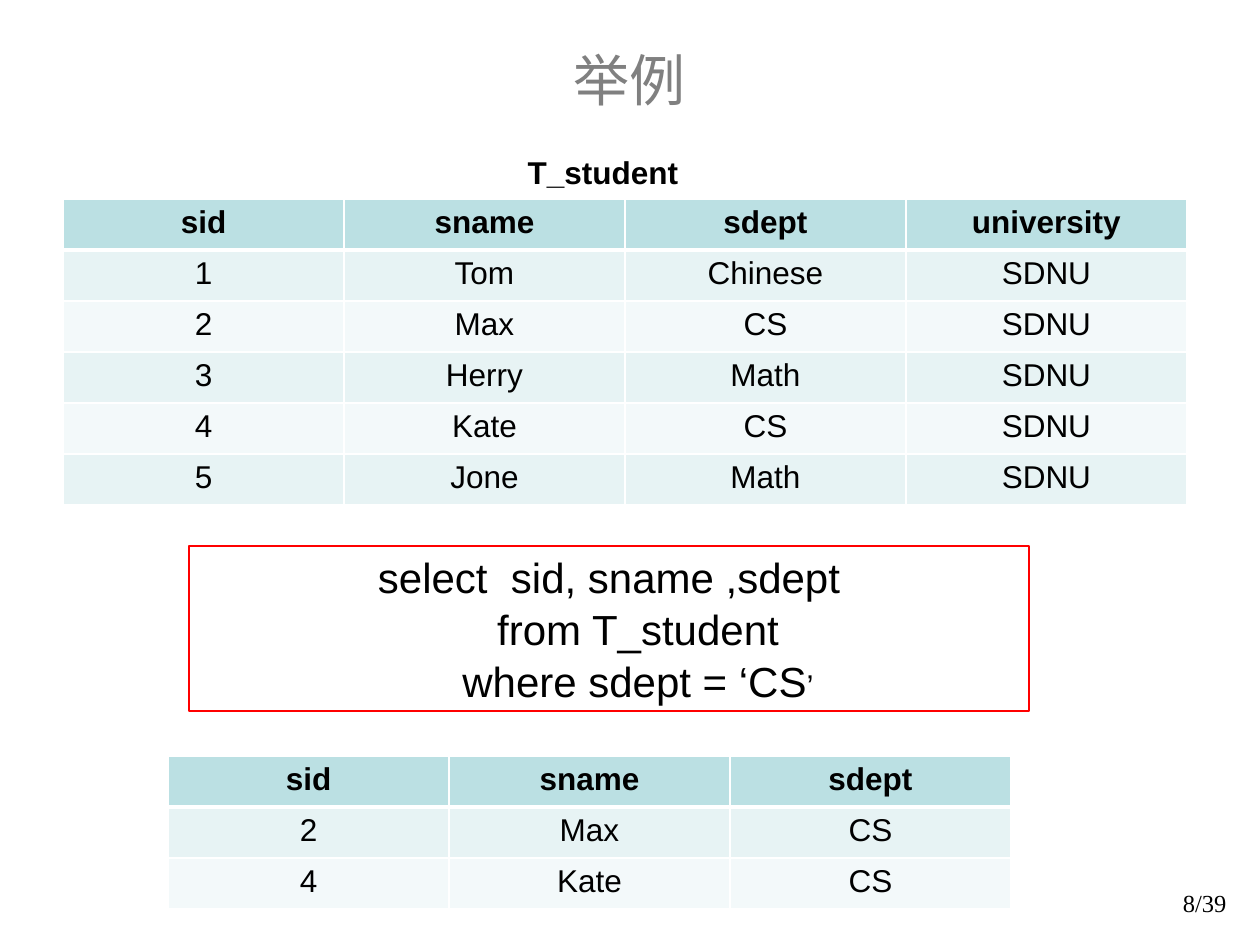
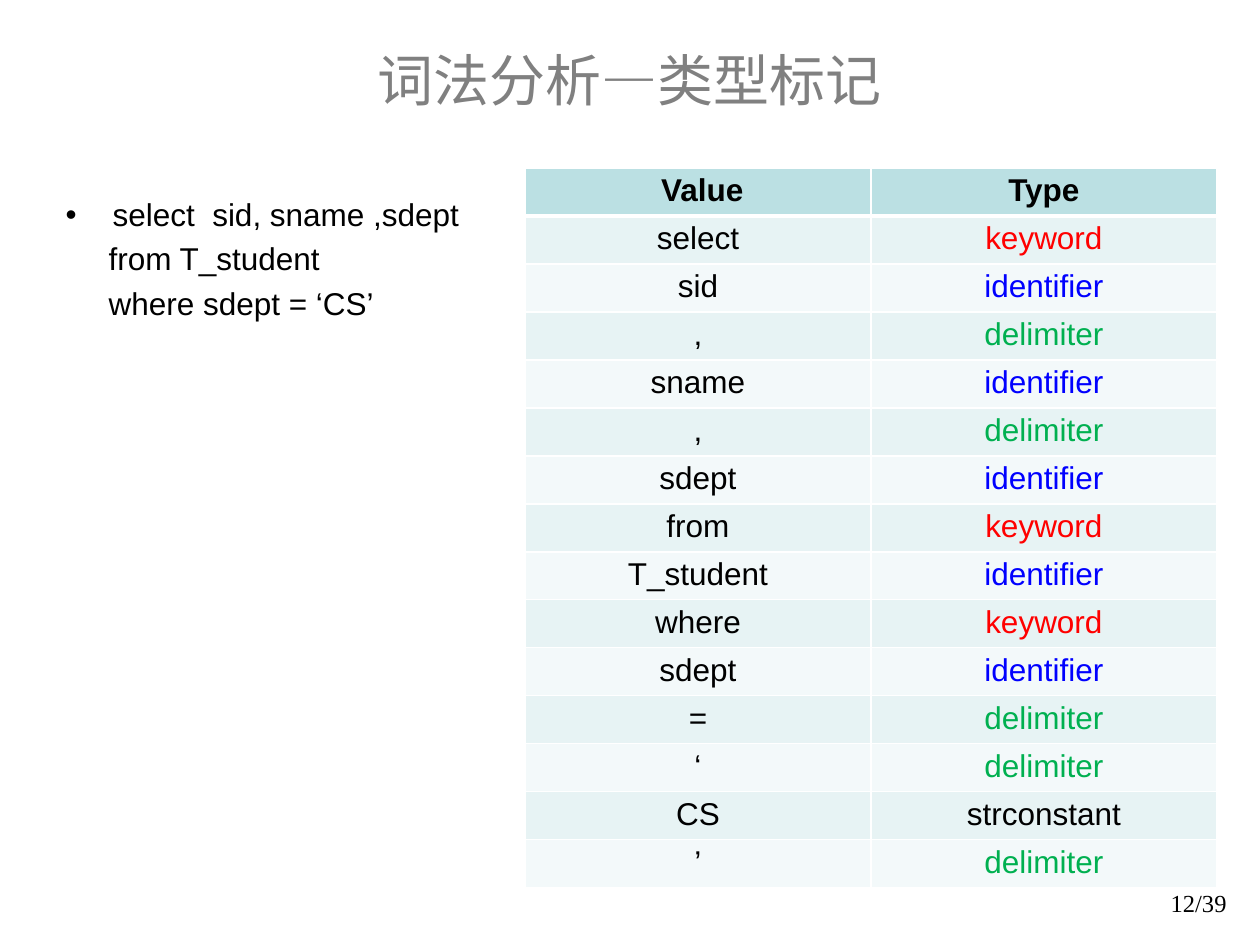
from pptx import Presentation
from pptx import util as u
from pptx.dml.color import RGBColor
from pptx.enum import shapes, text
from pptx.oxml import parse_xml
from pptx.oxml.ns import nsdecls

BLACK = RGBColor(0x00, 0x00, 0x00)
GREY = RGBColor(0x80, 0x80, 0x80)
RED = RGBColor(0xFF, 0x00, 0x00)
BLUE = RGBColor(0x00, 0x00, 0xFF)
GREEN = RGBColor(0x00, 0xB0, 0x50)
WHITE = RGBColor(0xFF, 0xFF, 0xFF)
HEADER = RGBColor(0xBB, 0xE0, 0xE3)
BANDS = (RGBColor(0xF3, 0xF9, 0xFA), RGBColor(0xE7, 0xF3, 0xF4))
TYPE_COLOURS = {"keyword": RED, "identifier": BLUE, "delimiter": GREEN}

PIXELS_PER_INCH = 126
PAGE_COUNT = 39
TITLE_ONLY, TITLE_AND_BODY = 5, 1
CENTER = text.PP_ALIGN.CENTER

STUDENTS = [
    ("sid", "sname", "sdept", "university"),
    ("1", "Tom", "Chinese", "SDNU"),
    ("2", "Max", "CS", "SDNU"),
    ("3", "Herry", "Math", "SDNU"),
    ("4", "Kate", "CS", "SDNU"),
    ("5", "Jone", "Math", "SDNU"),
]
QUERY_RESULT = [
    ("sid", "sname", "sdept"),
    ("2", "Max", "CS"),
    ("4", "Kate", "CS"),
]
TOKENS = [
    (" Value", "Type"),
    ("select", "keyword"),
    ("sid", "identifier"),
    (",", "delimiter"),
    ("sname", "identifier"),
    (",", "delimiter"),
    ("sdept", "identifier"),
    ("from", "keyword"),
    ("T_student", "identifier"),
    ("where", "keyword"),
    ("sdept", "identifier"),
    ("=", "delimiter"),
    ("‘", "delimiter"),
    ("CS", "strconstant"),
    ("’", "delimiter"),
]


def px(pixels):
    return u.Emu(round(pixels * u.Inches(1) / PIXELS_PER_INCH))


def place(shape, left, top, width, height):
    shape.left, shape.top = px(left), px(top)
    shape.width, shape.height = px(width), px(height)


def format_runs(para, size, colour=BLACK, font="Arial", bold=False, align=None):
    para.alignment = align
    for span in para.runs:
        span.font.size = u.Pt(size)
        span.font.name = font
        span.font.bold = bold
        span.font.color.rgb = colour


def set_indent(para, margin, first=0):
    properties = para._p.get_or_add_pPr()
    properties.set("marL", str(px(margin)))
    properties.set("indent", str(px(first)))
    return properties


def set_bullet(para, margin, bullet=None):
    properties = set_indent(para, margin, -margin if bullet else 0)
    if bullet:
        properties.append(parse_xml(f'<a:buFont {nsdecls("a")} typeface="Arial"/>'))
        properties.append(parse_xml(f'<a:buChar {nsdecls("a")} char="{bullet}"/>'))
    else:
        properties.append(parse_xml(f'<a:buNone {nsdecls("a")}/>'))


def add_text(page, words, left, top, width, height, size, **style):
    box = page.shapes.add_textbox(px(left), px(top), px(width), px(height))
    box.text_frame.text = words
    format_runs(box.text_frame.paragraphs[0], size, **style)
    return box


def add_page(deck, layout, title, number):
    page = deck.slides.add_slide(deck.slide_layouts[layout])
    heading = page.shapes.title
    place(heading, 94, 0, 1072, 158)
    heading.text_frame.text = title
    heading.text_frame.vertical_anchor = text.MSO_ANCHOR.MIDDLE
    format_runs(heading.text_frame.paragraphs[0], 32, GREY, align=CENTER)
    box = add_text(page, f"{number}/{PAGE_COUNT}", 977, 882, 262, 63, 14,
                   font="Times New Roman", align=text.PP_ALIGN.RIGHT)
    box.text_frame.word_wrap = True
    return page


def set_borders(cell, row):
    widths = {"lnL": 1, "lnR": 1, "lnT": 3 if row == 1 else 1, "lnB": 3 if row == 0 else 1}
    properties = cell._tc.get_or_add_tcPr()
    for side, points in widths.items():
        properties.append(parse_xml(
            f'<a:{side} {nsdecls("a")} w="{u.Pt(points)}"><a:solidFill>'
            f'<a:srgbClr val="{WHITE}"/></a:solidFill></a:{side}>'))


def add_grid(page, rows, left, top, column_width, row_height, margin):
    columns = len(rows[0])
    frame = page.shapes.add_table(len(rows), columns, px(left), px(top),
                                  px(column_width * columns), px(row_height * len(rows)))
    table = frame.table
    for column in table.columns:
        column.width = px(column_width)
    for i, values in enumerate(rows):
        table.rows[i].height = px(row_height)
        for j, value in enumerate(values):
            cell = table.cell(i, j)
            set_borders(cell, i)
            cell.fill.solid()
            cell.fill.fore_color.rgb = BANDS[i % 2] if i else HEADER
            cell.margin_top = cell.margin_bottom = px(margin)
            cell.text_frame.text = value
            format_runs(cell.text_frame.paragraphs[0], 18,
                        TYPE_COLOURS.get(value, BLACK), bold=i == 0, align=CENTER)


def add_query_box(page):
    box = page.shapes.add_shape(shapes.MSO_SHAPE.RECTANGLE, px(189), px(546), px(840), px(165))
    box.shadow.inherit = False
    box.fill.background()
    box.line.color.rgb = RED
    box.line.width = u.Pt(0.75)
    frame = box.text_frame
    frame.word_wrap = True
    frame.vertical_anchor = text.MSO_ANCHOR.MIDDLE
    frame.text = "select  sid, sname ,sdept\nfrom T_student\nwhere sdept = ‘CS"
    closing_quote = frame.paragraphs[-1].add_run()
    closing_quote.text = "’"
    for i, para in enumerate(frame.paragraphs):
        para.space_before = u.Pt(1)
        set_indent(para, 58 if i else 0)
        format_runs(para, 24, align=CENTER)
    closing_quote.font.size = u.Pt(18)


def fill_query_list(page):
    body = page.placeholders[1]
    place(body, 53, 189, 441, 462)
    frame = body.text_frame
    frame.auto_size = text.MSO_AUTO_SIZE.NONE
    frame.text = "select  sid, sname ,sdept\nfrom T_student\nwhere sdept = ‘CS’"
    for i, para in enumerate(frame.paragraphs):
        set_bullet(para, 43 if i else 47, None if i else "•")
        format_runs(para, 18)


def build_example(deck):
    page = add_page(deck, TITLE_ONLY, "举例", 8)
    add_text(page, "T_student", 514, 147, 178, 50, 18, bold=True, align=CENTER)
    add_grid(page, STUDENTS, 63, 199, 281, 51, 6)
    add_query_box(page)
    add_grid(page, QUERY_RESULT, 168, 756, 281, 51, 6)


def build_token_types(deck):
    page = add_page(deck, TITLE_AND_BODY, "词法分析—类型标记", 12)
    fill_query_list(page)
    add_grid(page, TOKENS, 525, 168, 346, 48, 5)


def main():
    deck = Presentation()
    deck.slide_width, deck.slide_height = px(1260), px(945)
    build_example(deck)
    build_token_types(deck)
    deck.save("out.pptx")


main()
